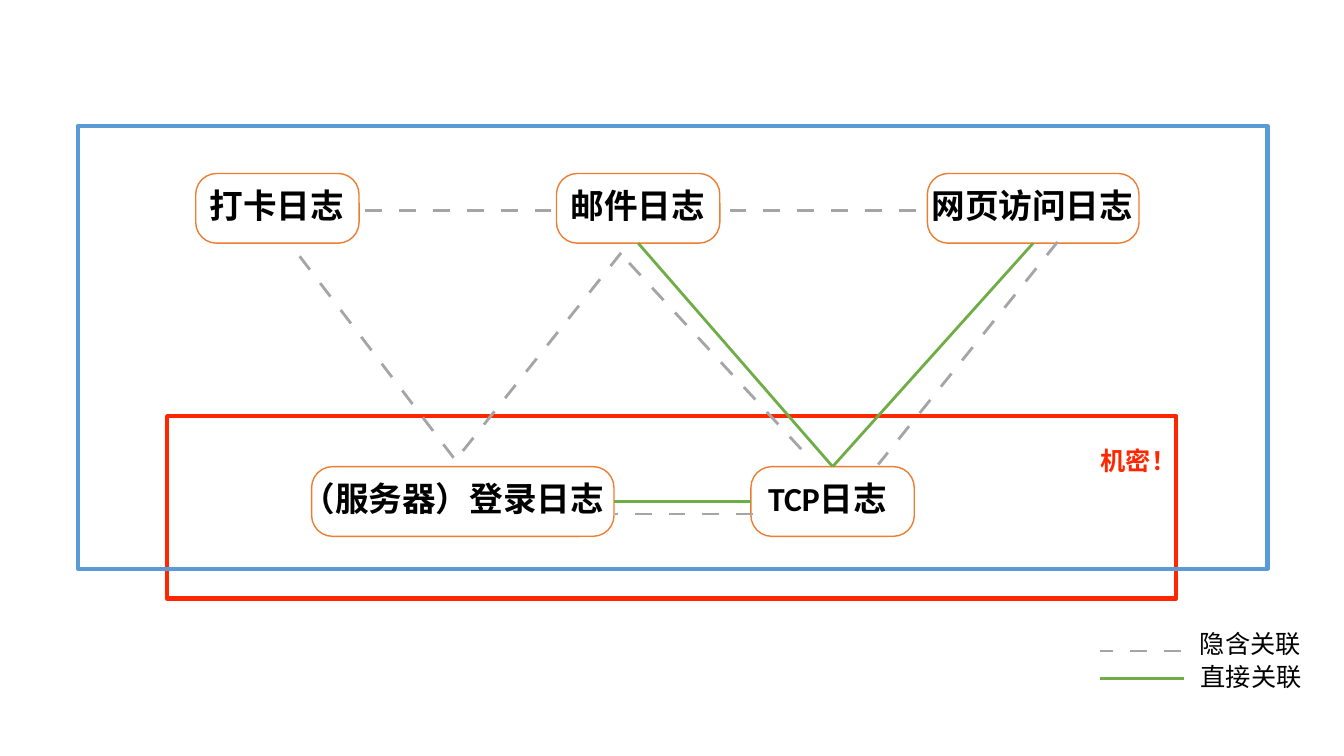
"""Build a slide that maps the hidden and direct links between five logs."""
from dataclasses import dataclass

import lxml.etree
import pptx
import pptx.dml.color
import pptx.enum.shapes
import pptx.enum.text
import pptx.oxml.ns
import pptx.util

RGBColor = pptx.dml.color.RGBColor
MSO_SHAPE = pptx.enum.shapes.MSO_SHAPE
BLACK = RGBColor(0x00, 0x00, 0x00)
RED = RGBColor(0xFF, 0x26, 0x00)
BLUE = RGBColor(0x5B, 0x9B, 0xD5)
ORANGE = RGBColor(0xED, 0x7D, 0x31)
GREEN = RGBColor(0x70, 0xAD, 0x47)
GREY = RGBColor(0xA5, 0xA5, 0xA5)

SLIDE_WIDTH = pptx.util.Inches(13.33)
SLIDE_HEIGHT = pptx.util.Inches(7.5)
GRID_COLUMNS, GRID_ROWS = 160, 90
BOX_HEIGHT = 8.3
LABEL_DROP = 0.8
TOP_ROW, BOTTOM_ROW = 20.65, 55.55
TOP, BOTTOM, LEFT, RIGHT = 0, 2, 1, 3


@dataclass(frozen=True)
class Frame:
    column: float
    row: float
    width: float
    height: float
    color: RGBColor


@dataclass(frozen=True)
class Label:
    text: str
    column: float
    row: float
    width: float
    height: float = 5.4
    size: int = 18
    bold: bool = False
    color: RGBColor = BLACK


@dataclass(frozen=True)
class Log:
    name: str
    column: float
    row: float
    width: float
    label_column: float
    label_width: float


@dataclass(frozen=True)
class Line:
    begin: tuple[float, float]
    end: tuple[float, float]
    color: RGBColor = GREY


@dataclass(frozen=True)
class Join:
    begin: str
    begin_side: int
    end: str
    end_side: int


CARD, MAIL, WEB = "打卡日志", "邮件日志", "网页访问日志"
LOGIN, TCP = "（服务器）登录日志", "TCP日志"

FRAMES = [
    Frame(19.9, 49.55, 120.15, 21.7, RED),
    Frame(9.25, 15, 141.65, 52.7, BLUE),
]
LOGS = [
    Log(CARD, 23.3, TOP_ROW, 19.45, 24.35, 17.4),
    Log(MAIL, 66.25, TOP_ROW, 19.45, 67.35, 17.4),
    Log(WEB, 110.4, TOP_ROW, 25.2, 110.3, 25.3),
    Log(LOGIN, 37.1, BOTTOM_ROW, 36, 35.3, 37.3),
    Log(TCP, 89.4, BOTTOM_ROW, 19.45, 90.85, 16.55),
]
DIRECT_JOINS = [
    Join(LOGIN, RIGHT, TCP, LEFT),
    Join(MAIL, BOTTOM, TCP, TOP),
    Join(WEB, BOTTOM, TCP, TOP),
]
LINES = [
    Line((54, 54.5), (34.9, 29.5)),
    Line((65.65, 25.1), (41.9, 25.1)),
    Line((109, 25.1), (85.1, 25.1)),
    Line((73.95, 30.1), (54.85, 54)),
    Line((74.9, 31.3), (96.75, 54.95)),
    Line((125.9, 28.8), (104.55, 55.3)),
    Line((89.65, 61.2), (73.2, 61.2)),
    Line((140.55, 77.5), (130.95, 77.5)),
    Line((130.95, 80.75), (141, 80.75), GREEN),
]
LABELS = [
    Label("直接关联", 142.35, 78.1, 13.3),
    Label("隐含关联", 142.25, 74.15, 13.3),
    Label("机密！", 130.45, 52.45, 10.3, bold=True, color=RED),
]


def across(columns: float) -> int:
    """Turn grid columns into a horizontal length."""
    return round(SLIDE_WIDTH * columns / GRID_COLUMNS)


def down(rows: float) -> int:
    """Turn grid rows into a vertical length."""
    return round(SLIDE_HEIGHT * rows / GRID_ROWS)


def draw_outline(slide, kind: MSO_SHAPE, frame: Frame, weight: float):
    """Draw an unfilled outlined shape."""
    shape = slide.shapes.add_shape(kind, across(frame.column), down(frame.row),
                                   across(frame.width), down(frame.height))
    shape.shadow.inherit = False
    shape.fill.background()
    shape.line.color.rgb = frame.color
    shape.line.width = pptx.util.Pt(weight)
    return shape


def draw_label(slide, label: Label) -> None:
    """Draw a single line of text."""
    box = slide.shapes.add_textbox(across(label.column), down(label.row),
                                   across(label.width), down(label.height))
    frame = box.text_frame
    frame.word_wrap = False
    frame.auto_size = pptx.enum.text.MSO_AUTO_SIZE.SHAPE_TO_FIT_TEXT
    frame.margin_left = frame.margin_right = pptx.util.Inches(0.05)
    frame.margin_top = frame.margin_bottom = pptx.util.Inches(0.05)
    paragraph = frame.paragraphs[0]
    paragraph.text = label.text
    paragraph.font.name = "Calibri"
    paragraph.font.size = pptx.util.Pt(label.size)
    paragraph.font.bold = label.bold
    paragraph.font.color.rgb = label.color


def draw_log(slide, log: Log):
    """Draw a rounded box with the name of its log."""
    outline = Frame(log.column, log.row, log.width, BOX_HEIGHT, ORANGE)
    shape = draw_outline(slide, MSO_SHAPE.ROUNDED_RECTANGLE, outline, 1)
    shape.adjustments[0] = 0.3
    draw_label(slide, Label(log.name, log.label_column, log.row + LABEL_DROP,
                            log.label_width, 6.7, 24, True))
    return shape


def draw_line(slide, line: Line):
    """Draw a straight connector, dashed when it is grey."""
    connector = slide.shapes.add_connector(
        pptx.enum.shapes.MSO_CONNECTOR.STRAIGHT,
        across(line.begin[0]), down(line.begin[1]),
        across(line.end[0]), down(line.end[1]))
    connector.line.color.rgb = line.color
    connector.line.width = pptx.util.Pt(2)
    qn = pptx.oxml.ns.qn
    properties = connector._element.spPr
    if line.color == GREY:
        dashes = lxml.etree.SubElement(properties.find(qn("a:ln")), qn("a:custDash"))
        lxml.etree.SubElement(dashes, qn("a:ds"), d="600000", sp="600000")
    lxml.etree.SubElement(properties, qn("a:effectLst"))
    return connector


def main() -> None:
    """Build and save the presentation."""
    presentation = pptx.Presentation()
    presentation.slide_width = SLIDE_WIDTH
    presentation.slide_height = SLIDE_HEIGHT
    slide = presentation.slides.add_slide(presentation.slide_layouts[6])
    for frame in FRAMES:
        draw_outline(slide, MSO_SHAPE.RECTANGLE, frame, 3)
    boxes = {log.name: draw_log(slide, log) for log in LOGS}
    for join in DIRECT_JOINS:
        connector = draw_line(slide, Line((0, 0), (1, 1), GREEN))
        connector.begin_connect(boxes[join.begin], join.begin_side)
        connector.end_connect(boxes[join.end], join.end_side)
    for line in LINES:
        draw_line(slide, line)
    for label in LABELS:
        draw_label(slide, label)
    presentation.save("out.pptx")


if __name__ == "__main__":
    main()
